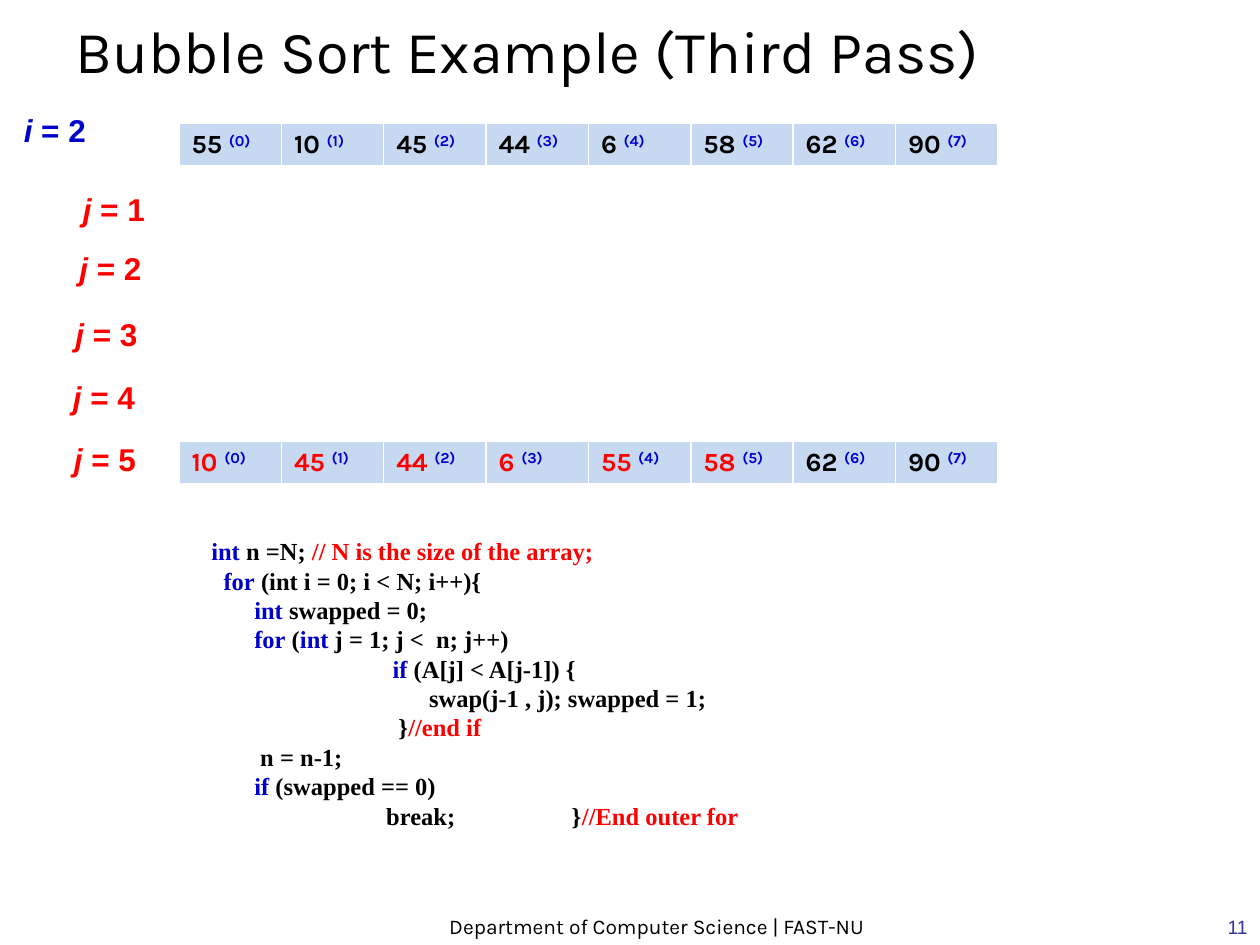
from lxml import etree
from pptx import Presentation
from pptx.dml.color import RGBColor
from pptx.enum.text import MSO_ANCHOR, MSO_AUTO_SIZE, PP_ALIGN
from pptx.oxml.ns import qn
from pptx.util import Cm, Pt

LEFT, CENTER, RIGHT = PP_ALIGN.LEFT, PP_ALIGN.CENTER, PP_ALIGN.RIGHT
TOP, BOTTOM = MSO_ANCHOR.TOP, MSO_ANCHOR.BOTTOM
NO_FIT = MSO_AUTO_SIZE.NONE
TITLE_ONLY = 5

BLACK, BLUE, RED, WHITE = "000000", "0000CC", "FF0000", "FFFFFF"
CELL_FILL, PAGE_NUMBER = "C6D9F1", "333399"
HEADING_FONT, LABEL_FONT, CODE_FONT = "Karla", "Arial", "Times New Roman"
BORDERS = (("a:lnL", 1), ("a:lnR", 1), ("a:lnT", 1), ("a:lnB", 3))

CODE = [
    [("int", BLUE), (" n =N; ", BLACK), ("// N is the size of the array;", RED)],
    [("  ", BLACK), ("for", BLUE), (" (int i = 0; i < N; i++){", BLACK)],
    [("       ", BLACK), ("int", BLUE), (" swapped = 0;", BLACK)],
    [("       ", BLACK), ("for", BLUE), (" (", BLACK), ("int", BLUE),
     (" j = 1; j <  n; j++)", BLACK)],
    [("\t         ", BLACK), ("if", BLUE), (" (A[j] < A[j-1]) {", BLACK)],
    [("\t               swap(j-1 , j); swapped = 1;", BLACK)],
    [("\t          }", BLACK), ("//end if", RED)],
    [("        n = n-1;", BLACK)],
    [("       ", BLACK), ("if ", BLUE), ("(swapped == 0)", BLACK)],
    [("\t        break;                   }", BLACK), ("//End outer for", RED)],
]


def color(value):
    return RGBColor.from_string(value)


class SlideBuilder:
    def __init__(self, slide):
        self.slide = slide

    def style(self, paragraph, font, size, bold=False, align=LEFT):
        paragraph.alignment = align
        paragraph.font.name = font
        paragraph.font.size = Pt(size)
        paragraph.font.bold = bold

    def run(self, paragraph, text, hex_color):
        run = paragraph.add_run()
        run.text = text
        run.font.color.rgb = color(hex_color)
        return run

    def title(self, text, left, top, width, height):
        title = self.slide.shapes.title
        title.left, title.top = Cm(left), Cm(top)
        title.width, title.height = Cm(width), Cm(height)
        frame = title.text_frame
        frame.auto_size = NO_FIT
        frame.vertical_anchor = BOTTOM
        self.style(frame.paragraphs[0], HEADING_FONT, 34)
        self.run(frame.paragraphs[0], text, BLACK)

    def frame(self, left, top, width, height, anchor=TOP, wrap=True):
        box = self.slide.shapes.add_textbox(Cm(left), Cm(top), Cm(width), Cm(height))
        box.text_frame.word_wrap = wrap
        box.text_frame.vertical_anchor = anchor
        return box.text_frame

    def footer(self, text, left, top, width, height, font, size, hex_color, align):
        paragraph = self.frame(left, top, width, height, BOTTOM).paragraphs[0]
        self.style(paragraph, font, size, align=align)
        self.run(paragraph, text, hex_color)

    def counter(self, name, value, left, top, hex_color):
        paragraph = self.frame(left, top, 1.76, 1.02, wrap=False).paragraphs[0]
        self.style(paragraph, LABEL_FONT, 18, bold=True)
        self.run(paragraph, name, hex_color).font.italic = True
        self.run(paragraph, f" = {value}", hex_color)

    def code(self, lines, left, top, width, height):
        frame = self.frame(left, top, width, height)
        for number, line in enumerate(lines):
            paragraph = frame.add_paragraph() if number else frame.paragraphs[0]
            paragraph.line_spacing = 0.8
            if number:
                paragraph.space_before = Pt(3.35)
            tabs = etree.SubElement(paragraph._p.get_or_add_pPr(), qn("a:tabLst"))
            etree.SubElement(tabs, qn("a:tab"), pos=str(Cm(2.54)), algn="l")
            self.style(paragraph, CODE_FONT, 14, bold=True)
            for text, hex_color in line:
                self.run(paragraph, text, hex_color)

    def borders(self, cell):
        properties = cell._tc.get_or_add_tcPr()
        for side, points in BORDERS:
            line = etree.SubElement(properties, qn(side), w=str(Pt(points)))
            fill = etree.SubElement(line, qn("a:solidFill"))
            etree.SubElement(fill, qn("a:srgbClr"), val=WHITE)

    def array(self, values, changed, top):
        width = Cm(16.51)
        table = self.slide.shapes.add_table(
            1, len(values), Cm(3.61), Cm(top), width, Cm(0.88)).table
        table.first_row = False
        table.horz_banding = False
        for index, value in enumerate(values):
            table.columns[index].width = width // len(values)
            cell = table.cell(0, index)
            self.borders(cell)
            cell.fill.solid()
            cell.fill.fore_color.rgb = color(CELL_FILL)
            paragraph = cell.text_frame.paragraphs[0]
            self.style(paragraph, HEADING_FONT, 15, bold=True)
            self.run(paragraph, f"{value} ", RED if index < changed else BLACK)
            position = self.run(paragraph, f"({index})", BLUE)
            position._r.get_or_add_rPr().set("baseline", "30000")


def main():
    deck = Presentation()
    deck.slide_width, deck.slide_height = Cm(25.4), Cm(19.05)
    builder = SlideBuilder(deck.slides.add_slide(deck.slide_layouts[TITLE_ONLY]))

    builder.footer("Department of Computer Science | FAST-NU",
                   6.99, 17.98, 12.5, 1.07, HEADING_FONT, 12, BLACK, CENTER)
    builder.title("Bubble Sort Example (Third Pass)", 1.27, 0, 20.12, 1.85)

    builder.counter("i", 2, 0.23, 2.11, BLUE)
    j_places = [(1.42, 3.71), (1.35, 4.9), (1.27, 6.22), (1.22, 7.49), (1.24, 8.74)]
    for j, (left, top) in enumerate(j_places, start=1):
        builder.counter("j", j, left, top, RED)

    builder.code(CODE, 4.01, 10.8, 12.7, 6.35)
    builder.array([55, 10, 45, 44, 6, 58, 62, 90], 0, 2.49)
    builder.array([10, 45, 44, 6, 55, 58, 62, 90], 6, 8.89)
    builder.footer("11", 20.12, 17.78, 5.28, 1.27, LABEL_FONT, 11, PAGE_NUMBER, RIGHT)

    deck.save("out.pptx")


if __name__ == "__main__":
    main()
